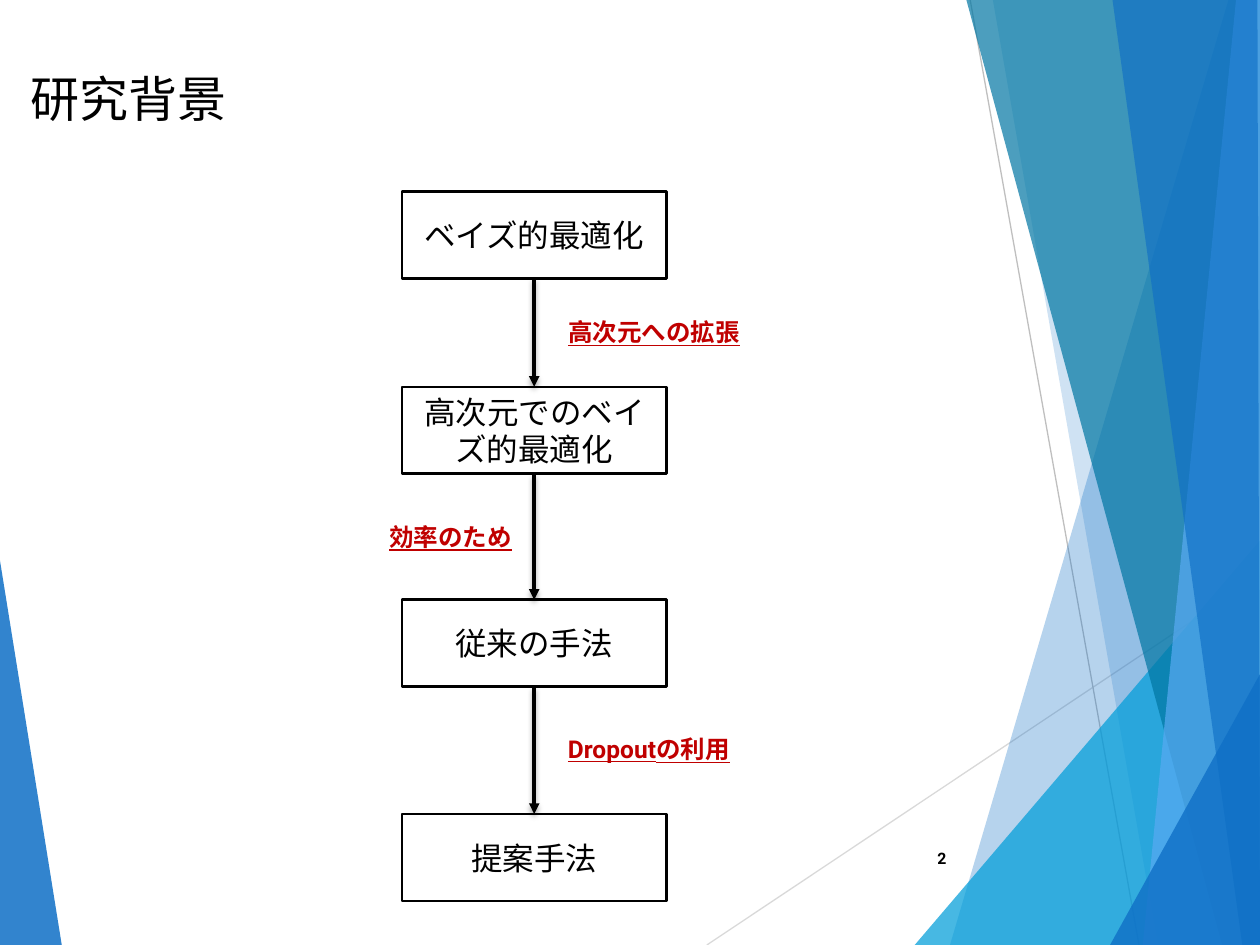
from itertools import pairwise
from lxml import etree
from pptx import Presentation
from pptx.dml.color import RGBColor as Rgb
from pptx.enum.shapes import MSO_CONNECTOR as Conn, MSO_SHAPE as Shape
from pptx.enum.text import MSO_ANCHOR as Anchor, MSO_AUTO_SIZE as Auto, PP_ALIGN as Align
from pptx.oxml import parse_xml
from pptx.oxml.ns import qn, nsdecls
from pptx.util import Inches, Pt

FONT = "Roboto"
COLORS = {
    "black": "000000", "white": "FFFFFF", "red": "C00000", "blue": "0F6FC6",
    "cyan": "009DD9", "teal": "0076A3", "sky": "59AAF2",
    "pale": "D9D9D9", "gray": "BFBFBF",
}
TITLE = "研究背景"
NUMBER = "2"
STEPS = [
    ("ベイズ的最適化", 1.52),
    ("高次元でのベイズ的最適化", 3.07),
    ("従来の手法", 4.76),
    ("提案手法", 6.46),
]
NOTES = [
    ("高次元への拡張", 4.41, 2.47, 1.58),
    ("効率のため", 2.99, 4.09, 1.18),
    ("Dropoutの利用", 4.41, 5.78, 1.53),
]
RAYS = [
    ("pale", (5.61, 7.5), (10, 4.57)),
    ("gray", (7.7, 0), (9.04, 7.5)),
]
FACETS = [
    ("blue", 85, [(0, 4.45), (0.49, 7.5), (0, 7.5)]),
    ("blue", 30, [(9.75, 0), (7.54, 7.5), (10, 7.5), (10, 0)]),
    ("blue", 20, [(7.88, 0), (9.19, 7.5), (10, 7.5), (10, 0)]),
    ("cyan", 72, [(7.26, 7.5), (10, 4.29), (10, 7.5)]),
    ("teal", 70, [(7.67, 0), (9.7, 7.5), (10, 7.5), (10, 0)]),
    ("sky", 70, [(9.81, 0), (9.07, 7.5), (10, 7.5), (10, 0)]),
    ("blue", 65, [(8.83, 0), (9.86, 7.5), (10, 7.5), (9.98, 0)]),
    ("blue", 80, [(8.81, 7.5), (10, 5.35), (10, 7.5)]),
]
LEFT, WIDTH, HEIGHT = 3.19, 2.1, 0.69
SHADOW = (
    f'<a:effectLst {nsdecls("a")}><a:outerShdw blurRad="38100" dist="25400" '
    'dir="5400000" rotWithShape="0"><a:srgbClr val="000000">'
    '<a:alpha val="35000"/></a:srgbClr></a:outerShdw></a:effectLst>'
)


def tint(name):
    return Rgb.from_string(COLORS[name])


def write(shape, text, size, color="black", align=Align.LEFT,
          anchor=Anchor.TOP, bold=False, line=False, wrap=True):
    frame = shape.text_frame
    frame.text = text
    frame.word_wrap = wrap
    frame.auto_size = Auto.NONE if wrap else Auto.SHAPE_TO_FIT_TEXT
    frame.vertical_anchor = anchor
    para = frame.paragraphs[0]
    para.alignment = align
    font = para.font
    font.name, font.size = FONT, Pt(size)
    font.bold, font.underline = bold, line
    font.color.rgb = tint(color)


def rule(shapes, start, end, color, width, arrow=False):
    link = shapes.add_connector(Conn.STRAIGHT, *map(Inches, start + end))
    link.line.color.rgb = tint(color)
    link.line.width = Pt(width)
    props = link._element.spPr
    if arrow:
        etree.SubElement(link.line._get_or_add_ln(), qn("a:tailEnd"), type="triangle")
        props.append(parse_xml(SHADOW))
    else:
        etree.SubElement(props, qn("a:effectLst"))


def facet(shapes, color, alpha, points):
    spots = [(Inches(x), Inches(y)) for x, y in points]
    pen = shapes.build_freeform(*spots[0], scale=1.0)
    pen.add_line_segments(spots[1:], close=True)
    shape = pen.convert_to_shape()
    shape.shadow.inherit = False
    shape.fill.solid()
    shape.fill.fore_color.rgb = tint(color)
    shape.line.fill.background()
    node = shape._element.spPr.find(qn("a:solidFill"))[0]
    etree.SubElement(node, qn("a:alpha"), val=str(alpha * 1000))


def step(shapes, text, top):
    box = shapes.add_shape(Shape.RECTANGLE, *map(Inches, (LEFT, top, WIDTH, HEIGHT)))
    box.shadow.inherit = False
    box.fill.solid()
    box.fill.fore_color.rgb = tint("white")
    box.line.color.rgb = tint("black")
    box.line.width = Pt(1.5)
    write(box, text, 18, align=Align.CENTER, anchor=Anchor.MIDDLE)


def main():
    deck = Presentation()
    deck.slide_width, deck.slide_height = Inches(10), Inches(7.5)
    slide = deck.slides.add_slide(deck.slide_layouts[5])
    shapes = slide.shapes

    title = shapes.title
    title.left, title.top = Inches(0.14), Inches(0.49)
    title.width, title.height = Inches(6.94), Inches(1.44)
    write(title, TITLE, 28)

    facet(shapes, *FACETS[0])
    for color, start, end in RAYS:
        rule(shapes, start, end, color, 0.75)
    for item in FACETS[1:]:
        facet(shapes, *item)

    for text, top in STEPS:
        step(shapes, text, top)
    mid = LEFT + WIDTH / 2
    for (_, above), (_, below) in pairwise(STEPS):
        rule(shapes, (mid, above + HEIGHT), (mid, below), "black", 2, arrow=True)
    for text, left, top, width in NOTES:
        note = shapes.add_textbox(*map(Inches, (left, top, width, 0.34)))
        write(note, text, 14, "red", bold=True, line=True, wrap=False)

    number = shapes.add_textbox(*map(Inches, (7.05, 6.61, 0.56, 0.4)))
    write(number, NUMBER, 9, align=Align.RIGHT, anchor=Anchor.MIDDLE, bold=True)
    deck.save("out.pptx")


if __name__ == "__main__":
    main()
